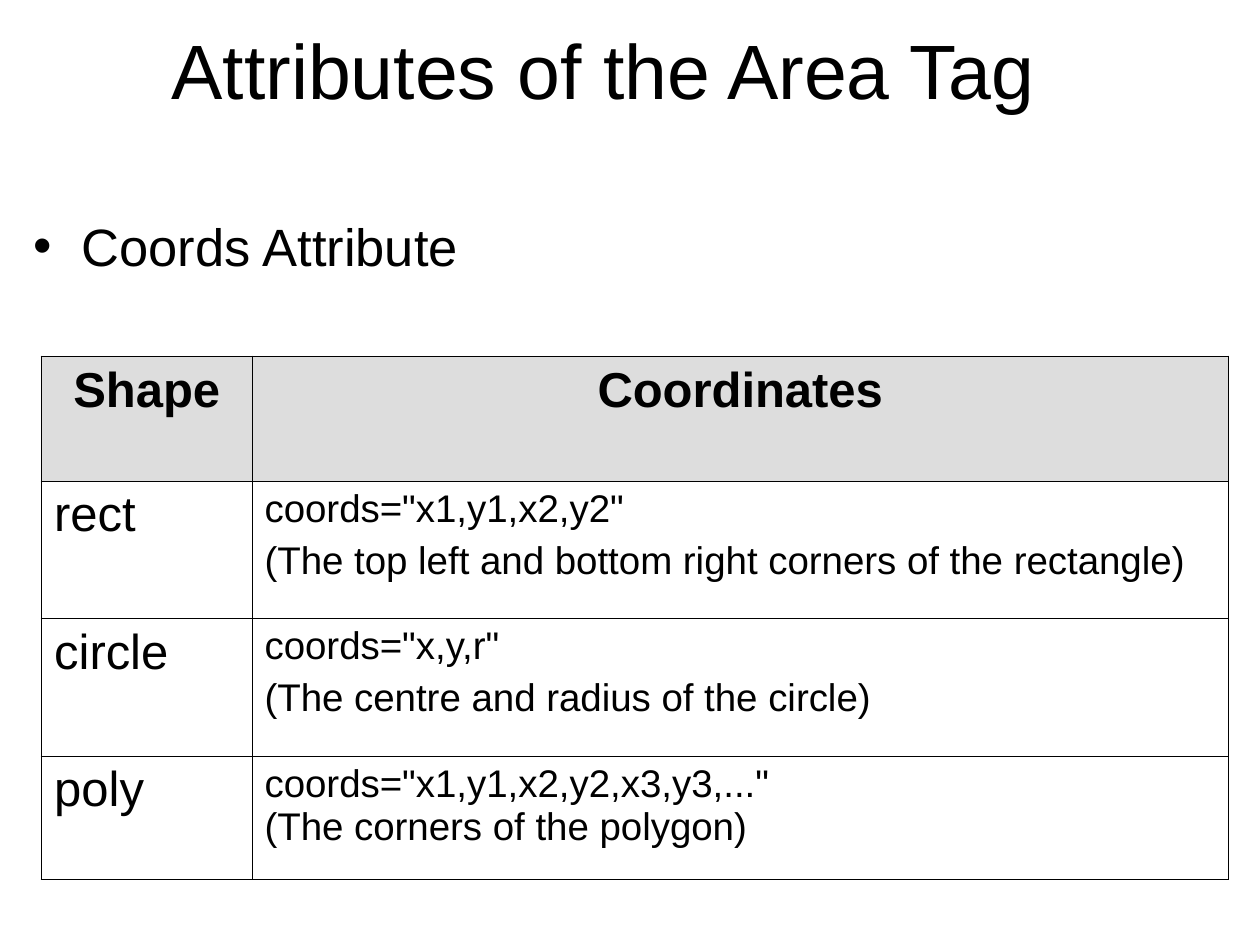
import pptx
import pptx.util
import pptx.dml.color
import pptx.enum.text
import pptx.oxml
import pptx.oxml.ns
from lxml import etree

Inches, Pt = pptx.util.Inches, pptx.util.Pt
RGB = pptx.dml.color.RGBColor.from_string
ALIGN, ANCHOR = pptx.enum.text.PP_ALIGN, pptx.enum.text.MSO_ANCHOR
qn = pptx.oxml.ns.qn

THEME = dict(font="Arial", ink="000000", header="DDDDDD",
             title=44, bullet=30, label=28, detail=22, outer=1.08, inner=0.45)

COLS = [1.67, 7.75]
ROWS = [0.99, 1.09, 1.09, 0.98]
# Each cell is a list of lines; the last figure is the gap between lines in points.
CONTENT = [
    (["Shape"], ["Coordinates"], 0),
    (["rect"], ['coords="x1,y1,x2,y2"',
                "(The top left and bottom right corners of the rectangle)"], 5),
    (["circle"], ['coords="x,y,r"', "(The centre and radius of the circle)"], 5),
    (["poly"], ['coords="x1,y1,x2,y2,x3,y3,..."', "(The corners of the polygon)"], 0),
]


def add_run(p, text, size, bold=False):
    r = p.add_run()
    r.text = text
    r.font.name, r.font.size, r.font.bold = THEME["font"], Pt(size), bold
    r.font.color.rgb = RGB(THEME["ink"])


def add_border(cell, side, width):
    ln = etree.SubElement(cell._tc.get_or_add_tcPr(), qn("a:ln" + side), w=str(Pt(width)))
    fill = etree.SubElement(ln, qn("a:solidFill"))
    etree.SubElement(fill, qn("a:srgbClr"), val=THEME["ink"])


prs = pptx.Presentation()
prs.slide_width, prs.slide_height = Inches(10), Inches(7.5)
s = prs.slides.add_slide(prs.slide_layouts[5])

# Title
title = s.shapes.title
title.left, title.top, title.width, title.height = map(Inches, (0.25, 0.17, 9.08, 0.75))
tf = title.text_frame
tf.vertical_anchor = ANCHOR.MIDDLE
tf.margin_left = tf.margin_right = tf.margin_top = tf.margin_bottom = 0
tf.paragraphs[0].alignment = ALIGN.CENTER
add_run(tf.paragraphs[0], "Attributes of the Area Tag", THEME["title"])

# Bullet
tf = s.shapes.add_textbox(*map(Inches, (0.17, 1, 9.67, 1.5))).text_frame
tf.word_wrap = True
tf.margin_top = Inches(0.7)
p = tf.paragraphs[0]
pPr = p._p.get_or_add_pPr()
pPr.set("marL", str(Inches(0.38)))
pPr.set("indent", str(Inches(-0.38)))
etree.SubElement(pPr, qn("a:buFont"), typeface=THEME["font"])
etree.SubElement(pPr, qn("a:buChar"), char="•")
add_run(p, "Coords Attribute", THEME["bullet"])

# Table
table = s.shapes.add_table(len(ROWS), len(COLS), Inches(0.33), Inches(2.83),
                           Inches(sum(COLS)), Inches(sum(ROWS))).table
for column, width in zip(table.columns, COLS):
    column.width = Inches(width)
for row, height in zip(table.rows, ROWS):
    row.height = Inches(height)

for i, (*cells, gap) in enumerate(CONTENT):
    for j, lines in enumerate(cells):
        cell = table.cell(i, j)
        is_header = i == 0
        size = THEME["detail"] if j == 1 and not is_header else THEME["label"]
        cell.margin_left = cell.margin_right = Inches(0.1)
        cell.margin_top = cell.margin_bottom = Inches(0.05)
        cell.vertical_anchor = ANCHOR.TOP
        tf = cell.text_frame
        for n, line in enumerate(lines):
            p = tf.add_paragraph() if n else tf.paragraphs[0]
            p.alignment = ALIGN.CENTER if is_header else ALIGN.LEFT
            if n:
                p.space_before = Pt(gap)
            add_run(p, line, size, bold=is_header)
        edges = {"L": j == 0, "R": j == len(COLS) - 1,
                 "T": is_header, "B": i == len(ROWS) - 1}
        for side, is_outer in edges.items():
            add_border(cell, side, THEME["outer" if is_outer else "inner"])
        if is_header:
            cell.fill.solid()
            cell.fill.fore_color.rgb = RGB(THEME["header"])
        else:
            cell.fill.background()

prs.save("out.pptx")
